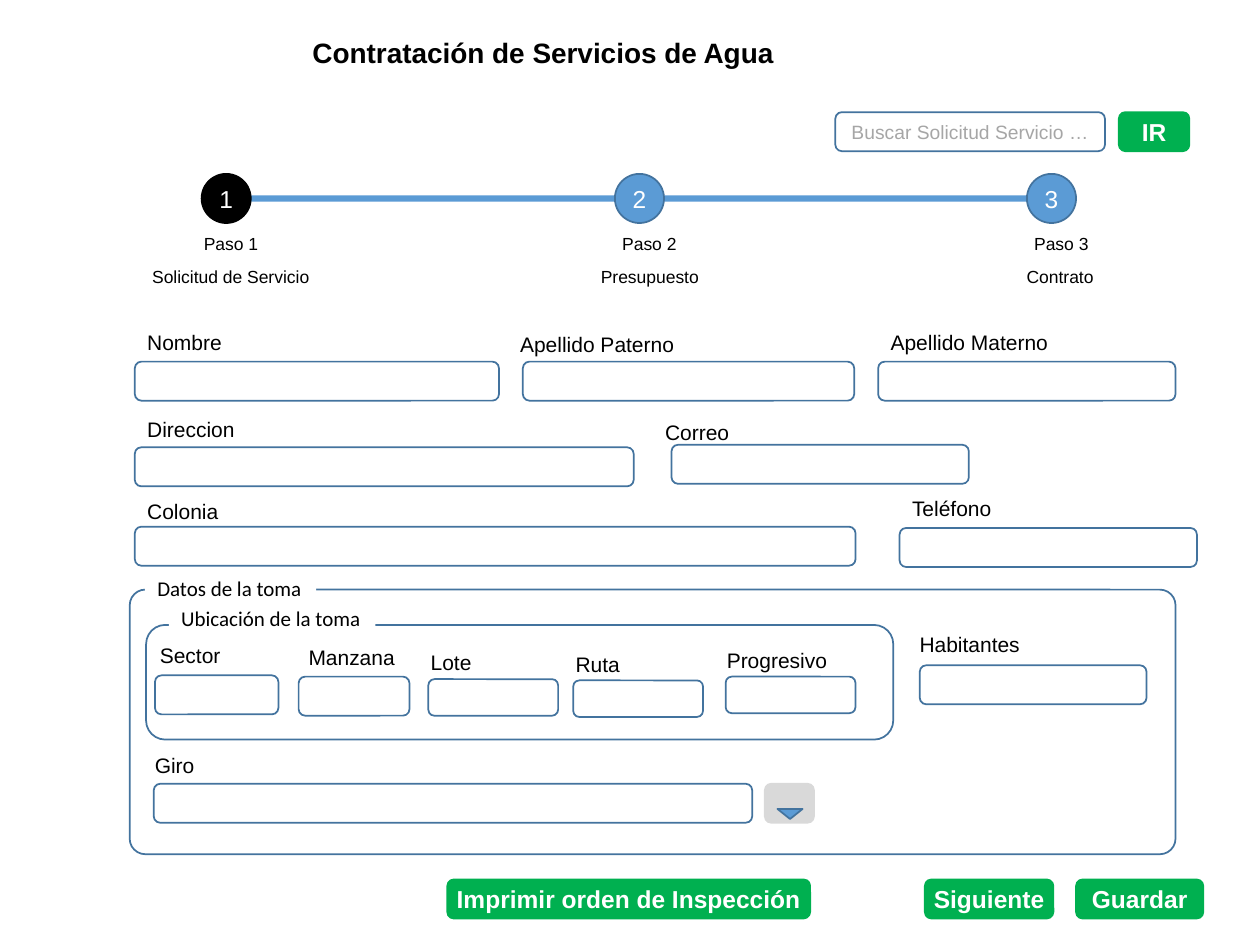
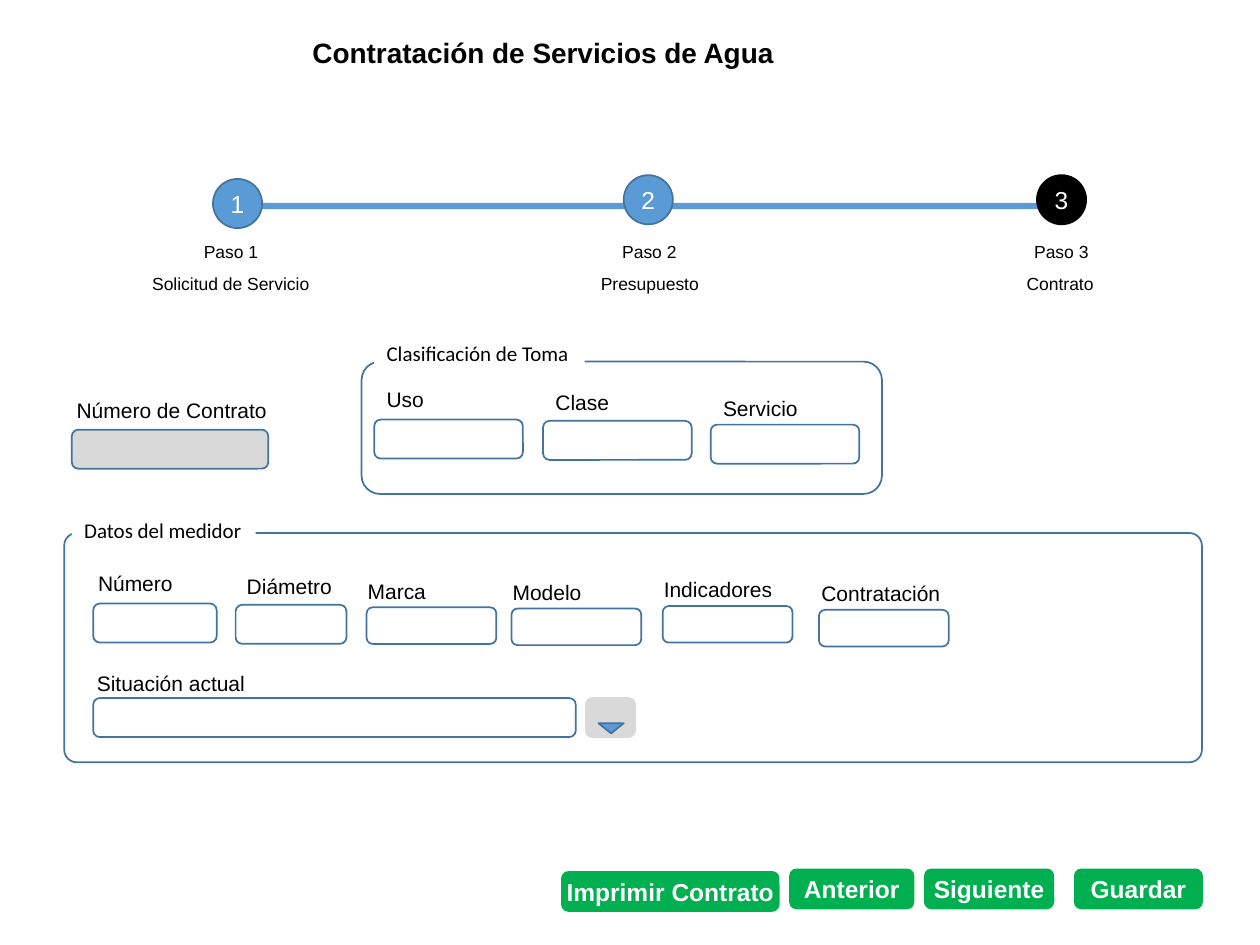
from dataclasses import dataclass

from pptx import Presentation
from pptx.dml.color import RGBColor
from pptx.enum import shapes, text
from pptx.util import Inches, Pt


@dataclass(frozen=True)
class Theme:
    """Colours, fonts and type sizes shared by both slides."""
    ink: str = "000000"
    paper: str = "FFFFFF"
    blue: str = "5B9BD5"
    outline: str = "43739E"
    green: str = "00B050"
    grey: str = "D9D9D9"
    hint: str = "A6A6A6"
    font: str = "Arial"
    caption_font: str = "Calibri"
    title: int = 16
    button: int = 14
    label: int = 12
    search: int = 11
    step: int = 10
    line: int = 1


T = Theme()
TITLE = "Contratación de Servicios de Agua"
FIELD_H, LOW_FIELD_H, LABEL_H, STEP_H = 0.31, 0.29, 0.3, 0.27
CIRCLE = 0.39
RAIL = (1.8, 6.54, 0.05)  # left, width, height

# Step name and description, each with left and width
STEPS = [
    (("Paso 1", 1.52, 0.63), ("Solicitud de Servicio", 1.11, 1.46)),
    (("Paso 2", 4.84, 0.63), ("Presupuesto", 4.67, 0.98)),
    (("Paso 3", 8.11, 0.63), ("Contrato", 8.05, 0.74)),
]

# fields: label, (label left, top, width), (box left, top, width, height)
# frames: caption, (caption left, top, width), (left, top, width, height), corner
# buttons: label, left, top, width
SLIDES = [
    {
        "active": 1,
        "rail_top": 1.55,
        "circles": [(1.6, 1.38), (4.88, 1.38), (8.15, 1.38)],
        "search": ("Buscar Solicitud Servicio …", 6.63, 0.89, 2.14),
        "frames": [
            ("Ubicación de la toma", (1.34, 4.76, 1.64), (1.16, 4.96, 5.93, 0.91), 0.167),
            ("Datos de la toma", (1.15, 4.52, 1.36), (1.03, 4.68, 8.3, 2.1), 0.059),
        ],
        "fields": [
            ("Nombre", (1.07, 2.57, 0.8), (1.07, 2.87, 2.89, FIELD_H)),
            ("Apellido Paterno", (4.03, 2.58, 1.43), (4.15, 2.87, 2.63, FIELD_H)),
            ("Apellido Materno", (6.97, 2.57, 1.46), (6.97, 2.87, 2.36, FIELD_H)),
            ("Direccion", (1.07, 3.26, 0.9), (1.07, 3.55, 3.96, FIELD_H)),
            ("Correo", (5.18, 3.28, 0.71), (5.33, 3.53, 2.36, FIELD_H)),
            ("Colonia", (1.07, 3.91, 0.77), (1.07, 4.18, 5.72, FIELD_H)),
            ("Teléfono", (7.14, 3.88, 0.84), (7.14, 4.19, 2.36, FIELD_H)),
            ("Sector", (1.17, 5.05, 0.69), (1.23, 5.36, 0.98, FIELD_H)),
            ("Manzana", (2.35, 5.07, 0.89), (2.37, 5.37, 0.88, FIELD_H)),
            ("Lote", (3.32, 5.11, 0.53), (3.4, 5.39, 1.03, LOW_FIELD_H)),
            ("Ruta", (4.47, 5.12, 0.56), (4.55, 5.4, 1.03, LOW_FIELD_H)),
            ("Progresivo", (5.67, 5.09, 1), (5.76, 5.37, 1.03, LOW_FIELD_H)),
            ("Habitantes", (7.2, 4.96, 1), (7.3, 5.28, 1.8, FIELD_H)),
            ("Giro", (1.13, 5.92, 0.52), (1.22, 6.22, 4.75, FIELD_H)),
        ],
        "locked": [],
        "dropdown": (6.07, 6.22),
        "buttons": [
            ("IR", 8.88, 0.89, 0.56),
            ("Imprimir orden de Inspección", 3.55, 6.98, 2.88),
            ("Siguiente", 7.34, 6.98, 1.02),
            ("Guardar", 8.54, 6.98, 1.01),
        ],
    },
    {
        "active": 3,
        "rail_top": 1.61,
        "circles": [(1.69, 1.42), (4.95, 1.39), (8.23, 1.39)],
        "search": None,
        "frames": [
            ("Clasificación de Toma", (2.97, 2.65, 1.67), (2.87, 2.87, 4.13, 1.05), 0.139),
            ("Datos del medidor", (0.57, 4.06, 1.46), (0.51, 4.23, 9.03, 1.82), 0.055),
        ],
        "fields": [
            ("Número de Contrato", (0.51, 3.11, 1.72), (0.57, 3.41, 1.56, FIELD_H)),
            ("Uso", (2.97, 3.02, 0.5), (2.97, 3.33, 1.18, FIELD_H)),
            ("Clase", (4.31, 3.04, 0.63), (4.31, 3.34, 1.18, FIELD_H)),
            ("Servicio", (5.64, 3.09, 0.8), (5.64, 3.37, 1.18, FIELD_H)),
            ("Número", (0.68, 4.48, 0.8), (0.74, 4.79, 0.98, FIELD_H)),
            ("Diámetro", (1.86, 4.5, 0.88), (1.87, 4.8, 0.88, FIELD_H)),
            ("Marca", (2.82, 4.54, 0.67), (2.91, 4.82, 1.03, LOW_FIELD_H)),
            ("Modelo", (3.97, 4.55, 0.75), (4.06, 4.83, 1.03, LOW_FIELD_H)),
            ("Indicadores", (5.17, 4.53, 1.07), (5.26, 4.81, 1.03, LOW_FIELD_H)),
            ("Contratación", (6.42, 4.56, 1.15), (6.5, 4.84, 1.03, LOW_FIELD_H)),
            ("Situación actual", (0.67, 5.27, 1.39), (0.74, 5.54, 3.83, FIELD_H)),
        ],
        "locked": ["Número de Contrato"],
        "dropdown": (4.65, 5.54),
        "buttons": [
            ("Imprimir Contrato", 4.46, 6.92, 1.72),
            ("Anterior", 6.27, 6.9, 0.98),
            ("Siguiente", 7.34, 6.9, 1.02),
            ("Guardar", 8.53, 6.9, 1.01),
        ],
    },
]


def write(sp, words, size, color=T.ink, font=T.font, bold=False, center=False):
    """Put one run in a shape: centred without margins, or as a snug label."""
    tf = sp.text_frame
    tf.word_wrap = center
    if center:
        tf.margin_left = tf.margin_right = tf.margin_top = tf.margin_bottom = 0
        tf.vertical_anchor = text.MSO_ANCHOR.MIDDLE
    else:
        tf.auto_size = text.MSO_AUTO_SIZE.SHAPE_TO_FIT_TEXT
        tf.vertical_anchor = text.MSO_ANCHOR.TOP
    p = tf.paragraphs[0]
    p.alignment = text.PP_ALIGN.CENTER if center else text.PP_ALIGN.LEFT
    r = p.add_run()
    r.text = words
    r.font.name, r.font.size, r.font.bold = font, Pt(size), bold
    r.font.color.rgb = RGBColor.from_string(color)


def shape(s, kind, box, fill=None, line=None):
    """Add a flat preset shape; a missing fill or line stays empty."""
    sp = s.shapes.add_shape(kind, *map(Inches, box))
    sp.shadow.inherit = False
    if fill:
        sp.fill.solid()
        sp.fill.fore_color.rgb = RGBColor.from_string(fill)
    else:
        sp.fill.background()
    if line:
        sp.line.color.rgb = RGBColor.from_string(line)
        sp.line.width = Pt(T.line)
    else:
        sp.line.fill.background()
    return sp


def rounded(s, box, fill=None, line=T.outline):
    """Add a rounded box."""
    return shape(s, shapes.MSO_SHAPE.ROUNDED_RECTANGLE, box, fill, line)


def label(s, words, left, top, width, height=LABEL_H, size=T.label):
    """Add a one-line text label."""
    write(s.shapes.add_textbox(*map(Inches, (left, top, width, height))), words, size)


def add_title(s):
    """Place and format the title placeholder."""
    sp = s.shapes.title
    sp.left, sp.top, sp.width, sp.height = map(Inches, (2.38, 0.23, 3.91, 0.37))
    write(sp, TITLE, T.title, bold=True)


def add_steps(s, top, circles, active):
    """Draw the progress rail, its numbered circles and their labels."""
    left, width, height = RAIL
    shape(s, shapes.MSO_SHAPE.RECTANGLE, (left, top, width, height), T.blue)
    for number, ((x, y), lines) in enumerate(zip(circles, STEPS), 1):
        fill, line = (T.ink, T.ink) if number == active else (T.blue, T.outline)
        sp = shape(s, shapes.MSO_SHAPE.OVAL, (x, y, CIRCLE, CIRCLE), fill, line)
        write(sp, str(number), T.button, T.paper, center=True)
        for (words, x_label, w), drop in zip(lines, (0.25, 0.51)):
            label(s, words, x_label, top + drop, w, STEP_H, T.step)


def add_frame(s, caption, caption_at, box, corner):
    """Draw a group frame with a caption that interrupts its top edge."""
    rounded(s, box).adjustments[0] = corner
    sp = shape(s, shapes.MSO_SHAPE.RECTANGLE, (*caption_at, LABEL_H), T.paper)
    write(sp, caption, T.label, font=T.caption_font)


def add_dropdown(s, left, top):
    """Draw the grey drop-down button with its downward triangle."""
    rounded(s, (left, top, 0.39, FIELD_H), T.grey, T.grey)
    sp = shape(s, shapes.MSO_SHAPE.ISOSCELES_TRIANGLE,
               (left + 0.1, top + 0.2, 0.2, 0.08), T.blue, T.outline)
    sp.rotation = 180


def add_form(prs, form):
    """Build one form slide."""
    s = prs.slides.add_slide(prs.slide_layouts.get_by_name("Title Only"))
    add_title(s)
    add_steps(s, form["rail_top"], form["circles"], form["active"])
    if form["search"]:
        hint, *at = form["search"]
        write(rounded(s, (*at, FIELD_H)), hint, T.search, T.hint, center=True)
    for frame in form["frames"]:
        add_frame(s, *frame)
    for words, label_at, box in form["fields"]:
        rounded(s, box, T.grey if words in form["locked"] else None)
        label(s, words, *label_at)
    add_dropdown(s, *form["dropdown"])
    for words, *at in form["buttons"]:
        sp = rounded(s, (*at, FIELD_H), T.green, T.green)
        write(sp, words, T.button, T.paper, bold=True, center=True)


prs = Presentation()
prs.slide_width, prs.slide_height = Inches(10), Inches(7.5)
for form in SLIDES:
    add_form(prs, form)
prs.save("out.pptx")
